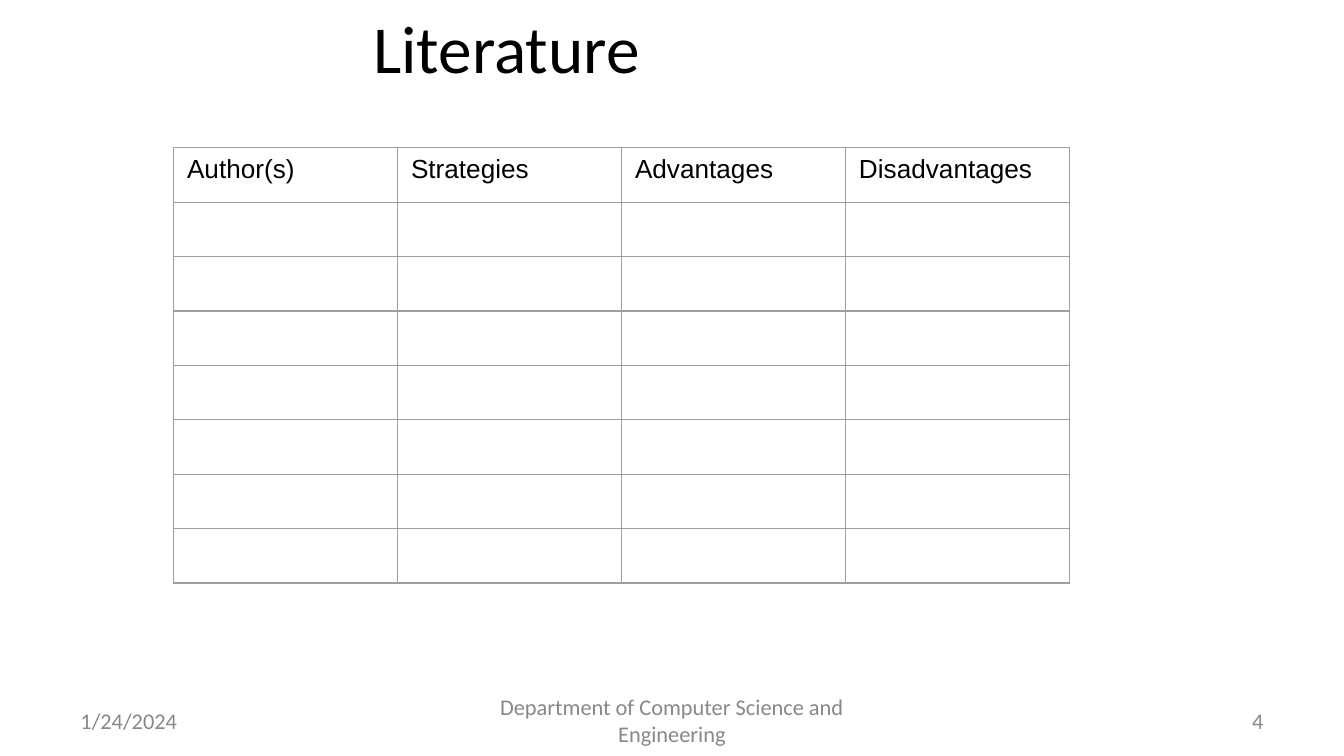
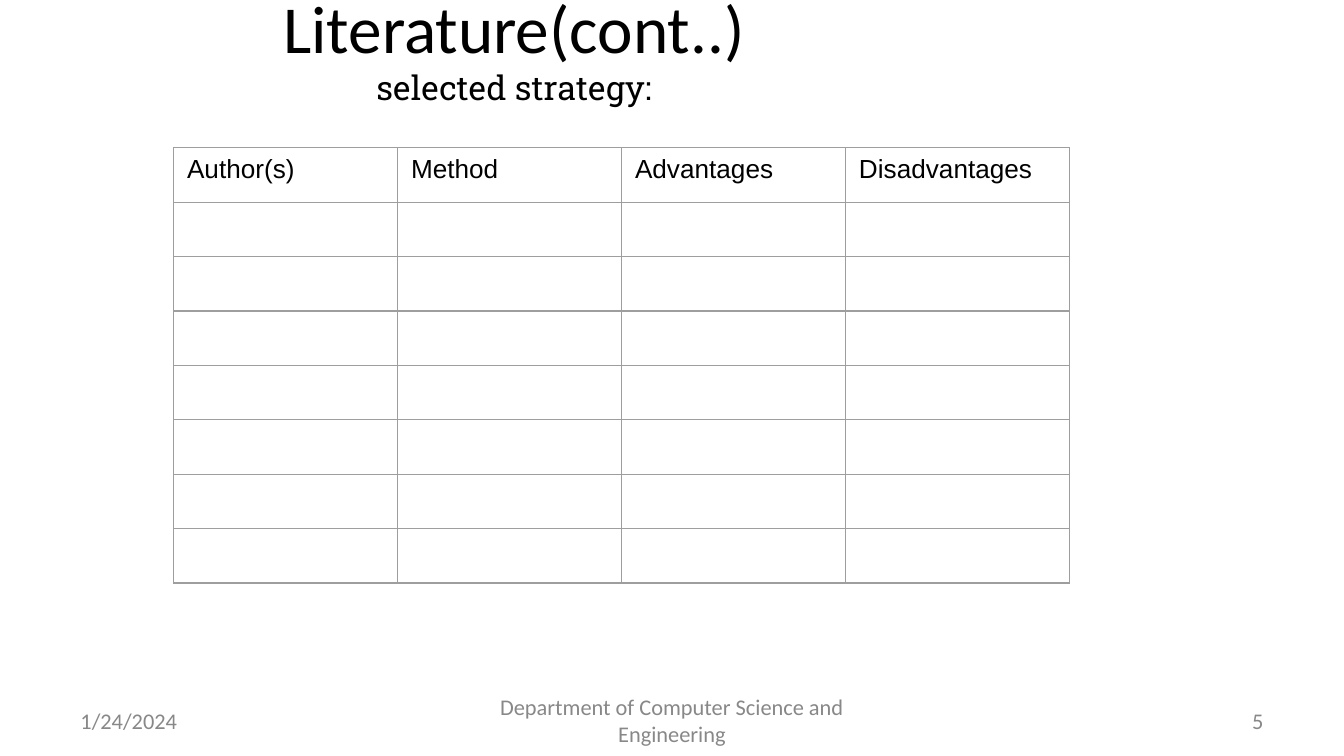
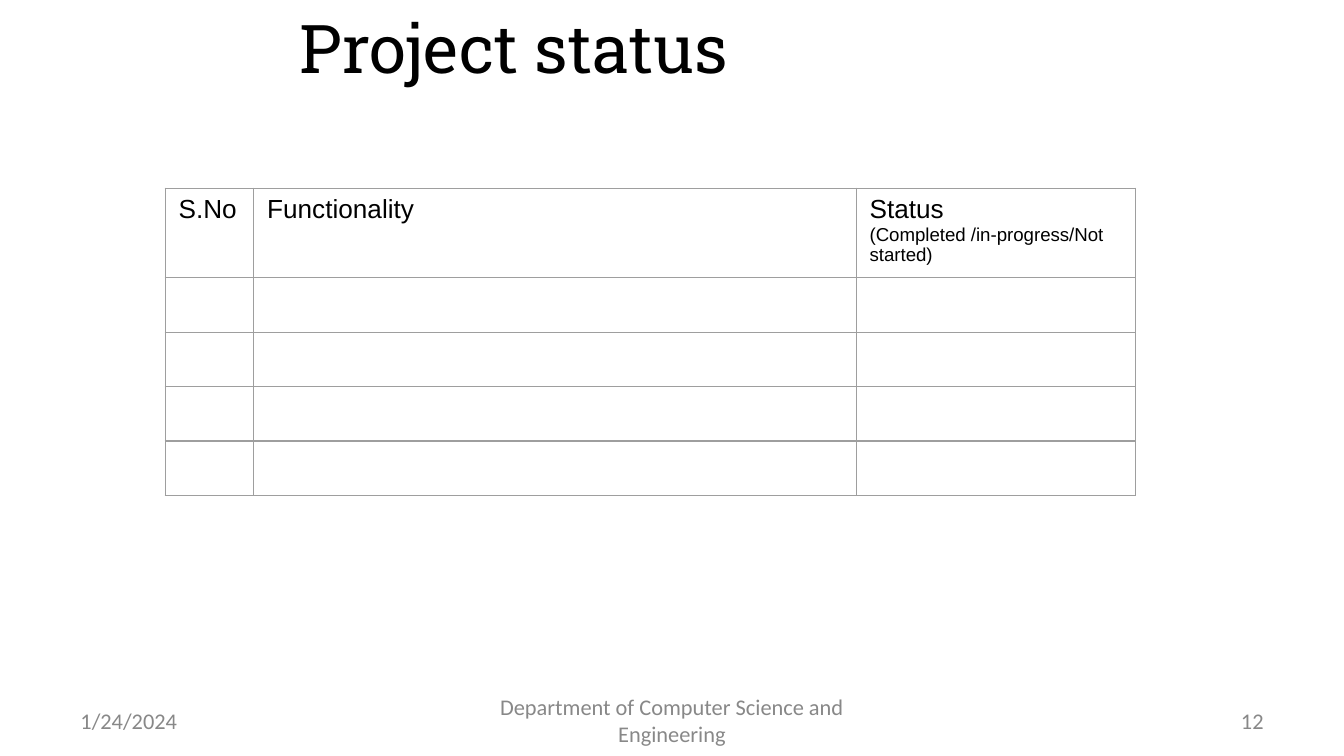
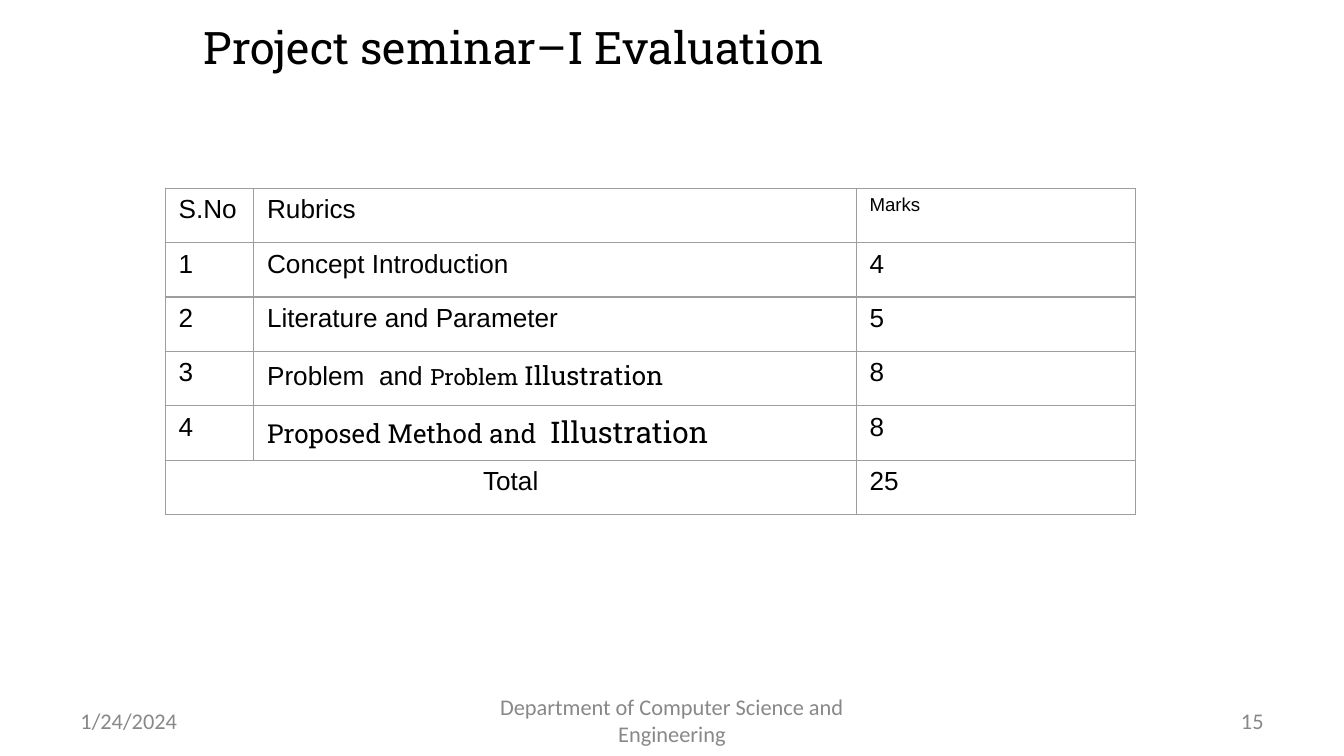
from dataclasses import dataclass

from pptx import Presentation
from pptx.dml.color import RGBColor
from pptx.enum.text import MSO_ANCHOR, PP_ALIGN
from pptx.oxml.ns import qn
from pptx.util import Pt
from lxml import etree

LEFT, CENTER, RIGHT = PP_ALIGN.LEFT, PP_ALIGN.CENTER, PP_ALIGN.RIGHT
MIDDLE = MSO_ANCHOR.MIDDLE


# Theme
@dataclass(frozen=True)
class Theme:
    ink: str = "000000"
    muted: str = "888888"
    grid: str = "9E9E9E"
    heading_font: str = "Calibri"
    slab_font: str = "Roboto Slab"
    table_font: str = "Arial"
    title_size: float = 36
    short_title_size: float = 24
    subtitle_size: float = 18
    large_size: float = 16
    body_size: float = 14
    footer_size: float = 12
    note_size: float = 10
    grid_width: float = 0.75


THEME = Theme()


# Building blocks
@dataclass(frozen=True)
class Span:
    text: str
    size: float = THEME.body_size
    font: str = THEME.table_font
    color: str = THEME.ink


@dataclass(frozen=True)
class Line:
    spans: tuple[Span, ...]
    align: PP_ALIGN = LEFT


@dataclass(frozen=True)
class Area:
    left: float
    top: float
    width: float
    height: float


@dataclass(frozen=True)
class Grid:
    left: float
    top: float
    columns: tuple[float, ...]
    row_height: float = 29.16


# A cell is plain text, or lines of styled spans
Cell = str | tuple[Line, ...]


@dataclass(frozen=True)
class Page:
    number: int
    title: tuple[Span, ...]
    grid: Grid
    rows: tuple[tuple[Cell, ...], ...]
    has_total: bool = False


TITLE_AREA = Area(34.56, 0, 481.68, 49.68)
DATE_AREA = Area(36, 375.12, 168, 21.6)
DEPARTMENT_AREA = Area(246, 375.12, 228, 21.6)
NUMBER_AREA = Area(516, 375.12, 168, 21.6)

SURVEY_GRID = Grid(93, 79.2, (120,) * 4)
STATUS_GRID = Grid(88.5, 100.8, (47.4, 322.8, 149.6))


def write_lines(frame, lines: tuple[Line, ...]) -> None:
    """Fill a text frame; a newline that ends a span becomes a line break."""
    for index, line in enumerate(lines):
        para = frame.paragraphs[0] if index == 0 else frame.add_paragraph()
        para.alignment = line.align
        for span in line.spans:
            run = para.add_run()
            run.text = span.text.rstrip("\n")
            run.font.size = Pt(span.size)
            run.font.name = span.font
            run.font.color.rgb = RGBColor.from_string(span.color)
            if span.text.endswith("\n"):
                para.add_line_break()


def add_text(slide, area: Area, line: Line) -> None:
    box = slide.shapes.add_textbox(
        Pt(area.left), Pt(area.top), Pt(area.width), Pt(area.height))
    frame = box.text_frame
    frame.word_wrap = True
    frame.vertical_anchor = MIDDLE
    write_lines(frame, (line,))


def add_borders(cell) -> None:
    properties = cell._tc.get_or_add_tcPr()
    for index, side in enumerate(("a:lnL", "a:lnR", "a:lnT", "a:lnB")):
        border = etree.Element(qn(side), w=str(Pt(THEME.grid_width)))
        fill = etree.SubElement(border, qn("a:solidFill"))
        etree.SubElement(fill, qn("a:srgbClr"), val=THEME.grid)
        properties.insert(index, border)


def add_grid(slide, page: Page) -> None:
    grid, row_count = page.grid, len(page.rows)
    table = slide.shapes.add_table(
        row_count, len(grid.columns), Pt(grid.left), Pt(grid.top),
        Pt(sum(grid.columns)), Pt(grid.row_height * row_count)).table
    table.first_row = table.horz_banding = False
    for column, width in zip(table.columns, grid.columns):
        column.width = Pt(width)
    for row, contents in zip(table.rows, page.rows):
        row.height = Pt(grid.row_height)
        for cell, content in zip(row.cells, contents):
            cell.fill.background()
            add_borders(cell)
            if isinstance(content, str):
                content = (Line((Span(content),)),) if content else ()
            write_lines(cell.text_frame, content)
    if page.has_total:
        last = row_count - 1
        table.cell(last, 0).merge(table.cell(last, 1))


def add_footer(slide, number: int) -> None:
    for area, text, align in (
        (DATE_AREA, "1/24/2024", LEFT),
        (DEPARTMENT_AREA, "Department of Computer Science and Engineering", CENTER),
        (NUMBER_AREA, str(number), RIGHT),
    ):
        span = Span(text, THEME.footer_size, THEME.heading_font, THEME.muted)
        add_text(slide, area, Line((span,), align))


def heading(text: str, font: str = THEME.heading_font,
            size: float = THEME.title_size) -> Span:
    return Span(text, size, font)


def slab(text: str, size: float = THEME.body_size) -> Span:
    return Span(text, size, THEME.slab_font)


def blank_rows(count: int, columns: int) -> tuple[tuple[Cell, ...], ...]:
    return (("",) * columns,) * count


# Content
PAGES = (
    Page(4, (heading("Literature "),), SURVEY_GRID,
         (("Author(s)", "Strategies", "Advantages", "Disadvantages"),
          *blank_rows(7, 4))),
    Page(5, (heading("Literature(cont..)\n"),
             slab("selected strategy:", THEME.subtitle_size)), SURVEY_GRID,
         (("Author(s)", "Method", "Advantages", "Disadvantages"),
          *blank_rows(7, 4))),
    Page(12, (heading("Project status", THEME.slab_font),), STATUS_GRID,
         (("S.No", "Functionality",
           (Line((Span("Status"),)),
            Line((Span("(Completed /in-progress/Not started)", THEME.note_size),)))),
          *blank_rows(4, 3))),
    Page(15, (heading("Project seminar–I Evaluation", THEME.slab_font,
                      THEME.short_title_size),), STATUS_GRID,
         (("S.No", "Rubrics", (Line((Span("Marks", THEME.note_size),)),)),
          ("1", "Concept Introduction", "4"),
          ("2", "Literature and Parameter", "5"),
          ("3", (Line((Span("Problem  and "), slab("Problem ", THEME.footer_size),
                       slab("Illustration"))),), "8"),
          ("4", (Line((slab("Proposed Method and  "),
                       slab("Illustration", THEME.large_size))),), "8"),
          ((Line((Span("Total"),), CENTER),), "", "25")),
         has_total=True),
)


def main() -> None:
    deck = Presentation()
    deck.slide_width, deck.slide_height = Pt(720), Pt(405)
    blank_layout = deck.slide_layouts[6]
    for page in PAGES:
        slide = deck.slides.add_slide(blank_layout)
        add_text(slide, TITLE_AREA, Line(page.title, CENTER))
        add_grid(slide, page)
        add_footer(slide, page.number)
    deck.save("out.pptx")


if __name__ == "__main__":
    main()
